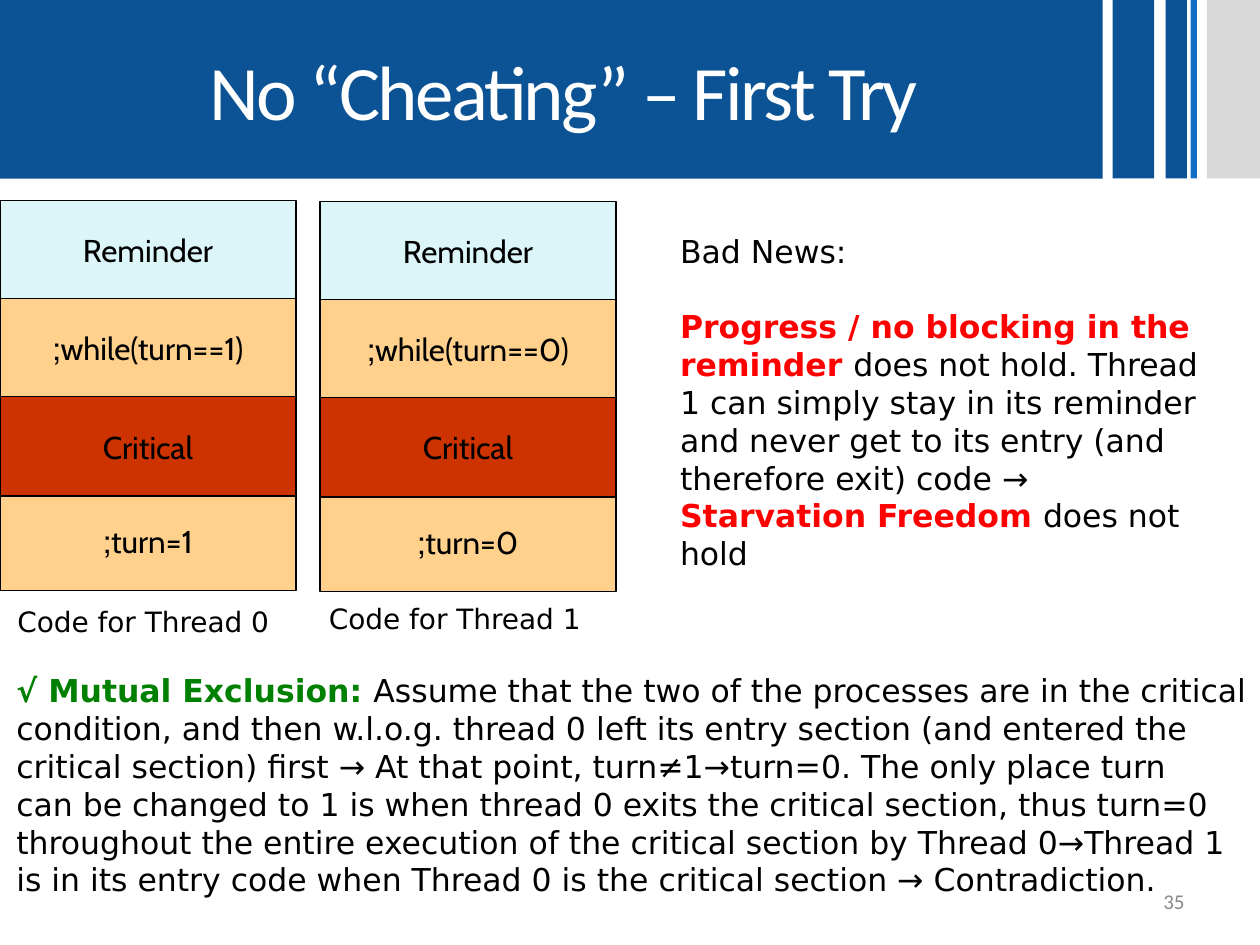
from lxml import etree
from pptx import Presentation
from pptx import util as u
from pptx.dml.color import RGBColor
from pptx.enum import shapes, text

BODY = "DejaVu Sans"
BLACK, RED, GREEN, BLUE = "000000", "FF0000", "008000", "0B5394"


def rgb(value):
    """Turn a hex string into a colour."""
    return RGBColor.from_string(value)


def add_text(p, content, size=18, font=BODY, color=BLACK, bold=False, spacing=None):
    """Append formatted text to a paragraph, breaking lines at newlines."""
    for i, line in enumerate(content.split("\n")):
        if i:
            p.add_line_break()
        r = p.add_run()
        r.text = line
        r.font.size = u.Pt(size)
        r.font.name = font
        r.font.bold = bold
        r.font.color.rgb = rgb(color)
        if spacing is not None:
            r._r.get_or_add_rPr().set("spc", str(spacing))


def add_box(s, box, fill, line=None):
    """Add a filled rectangle with an optional outline."""
    sp = s.shapes.add_shape(shapes.MSO_SHAPE.RECTANGLE, *map(u.Cm, box))
    sp.shadow.inherit = False
    sp.fill.solid()
    sp.fill.fore_color.rgb = rgb(fill)
    if line:
        sp.line.color.rgb = rgb(line)
        sp.line.width = u.Pt(0.75)
    else:
        sp.line.fill.background()
    return sp


def add_textbox(s, box, paragraphs, wrap=False, gap=0):
    """Add a growing text box from paragraphs of (text, format) runs."""
    tf = s.shapes.add_textbox(*map(u.Cm, box)).text_frame
    tf.word_wrap = wrap
    tf.auto_size = text.MSO_AUTO_SIZE.SHAPE_TO_FIT_TEXT
    for i, runs in enumerate(paragraphs):
        p = tf.paragraphs[0]
        if i:
            p = tf.add_paragraph()
            p.space_before = u.Pt(gap)
        for content, style in runs:
            add_text(p, content, **style)
    return tf


def header(s, box, title):
    """Fill the title band and draw the stripes to its right."""
    left, top, width, height = box
    stripes = [(22.43, 0.84, BLUE), (23.5, 0.43, BLUE),
               (24.0, 0.13, "0F6FC6"), (24.33, 1.07, "D9D9D9")]
    for x, w, color in stripes:
        add_box(s, (left + x, top, w, height), color)
    sp = s.shapes.title
    sp.left, sp.top, sp.width, sp.height = map(u.Cm, (left, top, width, height))
    sp.fill.solid()
    sp.fill.fore_color.rgb = rgb(BLUE)
    tf = sp.text_frame
    tf.auto_size = text.MSO_AUTO_SIZE.NONE
    tf.vertical_anchor = text.MSO_ANCHOR.MIDDLE
    tf.margin_left = u.Cm(0.76)
    p = tf.paragraphs[0]
    p.alignment = text.PP_ALIGN.CENTER
    add_text(p, title, size=44, font="Calibri", color="FFFFFF", spacing=-150)


def thread_code(s, box, turn, other):
    """Stack the four code sections of one thread."""
    left, top, width, height = box
    sections = [(0, "Reminder", "DBF5F9"), (5.86, f"turn={other};", "FFD18D"),
                (1.98, f"while(turn=={turn});", "FFD18D"), (3.96, "Critical", "CC3300")]
    for y, label, color in sections:
        sp = add_box(s, (left, top + y, width, height), color, BLACK)
        tf = sp.text_frame
        tf.word_wrap = False
        tf.vertical_anchor = text.MSO_ANCHOR.MIDDLE
        p = tf.paragraphs[0]
        p.alignment = text.PP_ALIGN.CENTER
        p._p.get_or_add_pPr().set("rtl", "1")
        add_text(p, label, font="Cabin")


def bad_news(s, box):
    """Write which properties fail."""
    strong = {"color": RED, "bold": True}
    add_textbox(s, box, [
        [("Bad News:", {})],
        [("Progress / no blocking in the reminder ", strong),
         ("does not hold. Thread 1 can simply stay in its reminder and never get "
          "to its entry (and therefore exit) code → ", {}),
         ("Starvation Freedom ", strong), ("does not hold", {})],
    ], wrap=True, gap=21.6)


def mutual_exclusion(s, box):
    """Write the proof of mutual exclusion."""
    add_textbox(s, box, [
        [("√ Mutual Exclusion: ", {"color": GREEN, "bold": True}),
         ("Assume that the two of the processes are in the critical\n"
          "condition, and then w.l.o.g. thread 0 left its entry section (and entered the", {})],
        [("critical section) first → At that point, turn≠1→turn=0. The only place turn \n"
          "can be changed to 1 is when thread 0 exits the critical section, thus turn=0\n"
          "throughout the entire execution of the critical section by Thread 0→Thread 1 \n"
          "is in its entry code when Thread 0 is the critical section → Contradiction.", {})],
    ])


def page_number(s, box, number):
    """Write the page number at the lower right."""
    style = {"size": 12, "font": "Calibri", "color": "898989"}
    tf = add_textbox(s, box, [[(number, style)]], wrap=True)
    tf.auto_size = text.MSO_AUTO_SIZE.NONE
    tf.vertical_anchor = text.MSO_ANCHOR.MIDDLE
    tf.paragraphs[0].alignment = text.PP_ALIGN.RIGHT


def main():
    """Build the slide and save it."""
    prs = Presentation()
    prs.slide_width, prs.slide_height = u.Cm(25.4), u.Cm(19.05)
    s = prs.slides.add_slide(prs.slide_layouts[5])
    header(s, (0, 0, 22.23, 3.6), "No “Cheating” – First Try")
    page_number(s, (18.21, 17.65, 5.92, 1.02), "35")
    thread_code(s, (0, 4.04, 5.97, 2), turn=1, other=1)
    thread_code(s, (6.45, 4.06, 5.97, 2), turn=0, other=0)
    for i, (left, top) in enumerate([(0.1, 12.07), (6.38, 12.01)]):
        add_textbox(s, (left, top, 5.69, 0.94), [[(f"Code for Thread {i}", {"size": 16})]])
    mutual_exclusion(s, (0.08, 13.41, 25.73, 5.64))
    bad_news(s, (13.46, 4.55, 11.13, 7.19))
    prs.save("out.pptx")


if __name__ == "__main__":
    main()
